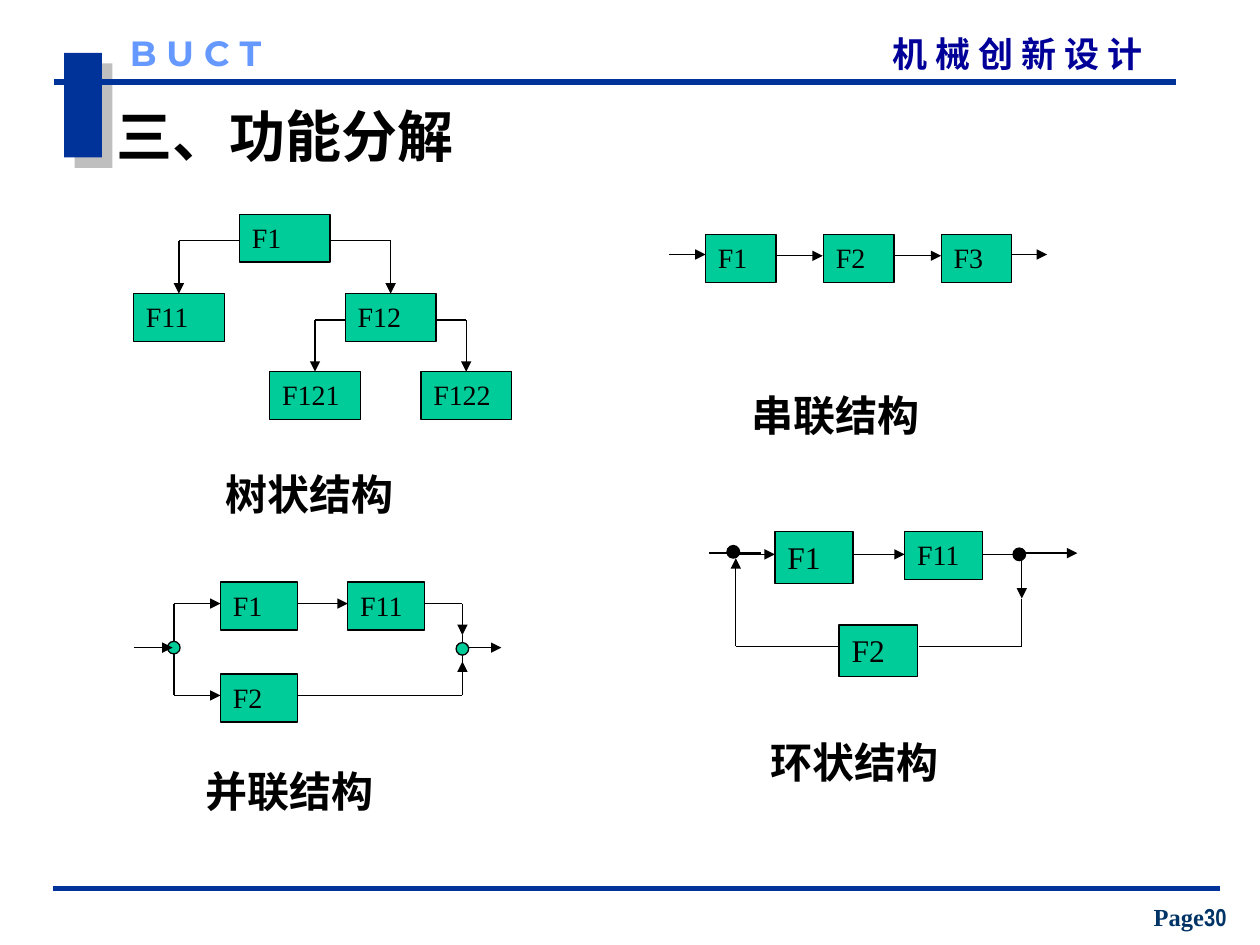
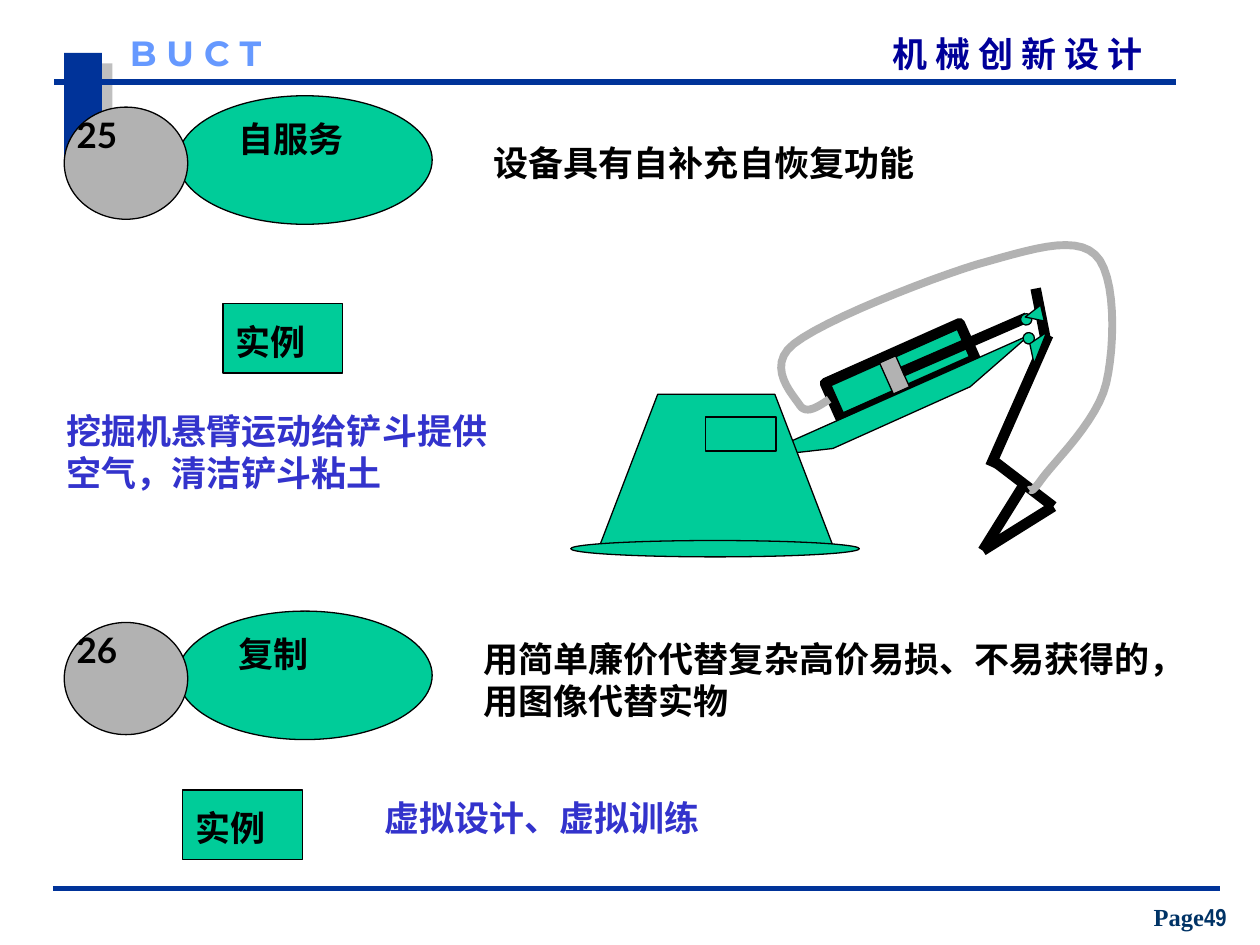
from lxml import etree
from pptx import Presentation
from pptx.dml.color import RGBColor
from pptx.enum.shapes import MSO_CONNECTOR, MSO_SHAPE
from pptx.enum.text import MSO_ANCHOR, PP_ALIGN
from pptx.oxml.ns import qn
from pptx.util import Cm, Pt

RECT, OVAL, WEDGE = MSO_SHAPE.RECTANGLE, MSO_SHAPE.OVAL, MSO_SHAPE.ISOSCELES_TRIANGLE
STRAIGHT = MSO_CONNECTOR.STRAIGHT
TOP, BOTTOM = MSO_ANCHOR.TOP, MSO_ANCHOR.BOTTOM
LEFT, CENTER, JUSTIFY = PP_ALIGN.LEFT, PP_ALIGN.CENTER, PP_ALIGN.JUSTIFY

NAVY, GREEN, GRAY, BLACK, BLUE = "003399", "00CC99", "B2B2B2", "000000", "3333CC"
TIMES, HAN, LATO = "Times New Roman", "Noto Sans CJK SC", "Lato"
THIN, THICK = 0.75, 6
PAD = (0.1, 0.05)

# ---- Content: places in inches, on the 10 x 7.5 slide ----

# Boxes of the four structures: label, left, top, width, height, text size
BOXES = [
    *[(name, x, y, 0.72, 0.38, 16) for name, x, y in [
        ("F1", 1.9, 1.7), ("F11", 1.06, 2.33), ("F12", 2.74, 2.33),
        ("F121", 2.14, 2.95), ("F122", 3.34, 2.95)]],
    *[(f"F{i + 1}", 5.6 + 0.935 * i, 1.86, 0.56, 0.38, 16) for i in range(3)],
    *[(name, x, y, 0.61, 0.38, 16) for name, x, y in [
        ("F1", 1.75, 4.62), ("F11", 2.76, 4.62), ("F2", 1.75, 5.35)]],
    ("F1", 6.15, 4.22, 0.62, 0.41, 18),
    ("F11", 7.18, 4.22, 0.62, 0.38, 16),
    ("F2", 6.66, 4.96, 0.62, 0.41, 18),
]

# Routes that end in an arrowhead
ARROWS = [
    # tree
    [(1.9, 1.91), (1.42, 1.91), (1.42, 2.33)],
    [(2.62, 1.91), (3.1, 1.91), (3.1, 2.33)],
    [(2.74, 2.54), (2.5, 2.54), (2.5, 2.95)],
    [(3.46, 2.54), (3.7, 2.54), (3.7, 2.95)],
    # series
    [(5.31, 2.02), (5.6, 2.02)], [(6.16, 2.03), (6.53, 2.03)],
    [(7.1, 2.03), (7.47, 2.03)], [(8.03, 2.02), (8.31, 2.02)],
    # parallel
    [(1.38, 5.14), (1.38, 4.79), (1.75, 4.79)],
    [(1.38, 5.14), (1.38, 5.52), (1.75, 5.52)],
    [(2.36, 4.79), (2.76, 4.79)], [(3.67, 5.14), (3.98, 5.14)],
    [(3.37, 4.79), (3.67, 4.79), (3.67, 5.04)],
    [(2.36, 5.52), (3.67, 5.52), (3.67, 5.25)],
    # ring
    [(5.84, 4.4), (6.15, 4.4)], [(6.77, 4.4), (7.18, 4.4)],
    [(6.66, 5.13), (5.84, 5.13), (5.84, 4.43)],
    [(8.13, 4.39), (8.55, 4.39)], [(8.11, 4.4), (8.11, 4.75)],
]
PLAIN = [
    [(3.67, 5.04), (3.67, 5.25)],
    [(5.63, 4.39), (6.04, 4.39)],
    [(7.8, 4.4), (8.11, 4.4)],
    [(8.11, 4.75), (8.11, 5.13), (7.29, 5.13)],
]
NODES = [(1.33, 5.09, GREEN), (3.62, 5.1, GREEN), (5.77, 4.33, BLACK), (8.04, 4.35, BLACK)]
INLET = [(1.06, 5.14), (1.37, 5.14)]
CAPTIONS = [("树状结构", 1.69, 3.67), ("串联结构", 5.87, 3.04),
            ("并联结构", 1.53, 6.03), ("环状结构", 6.02, 5.8)]

# Principles: number, name, top of the oval
RULES = [("25", "自服务", 0.76), ("26", "复制", 4.85)]
TAGS = [(1.77, 2.41), (1.45, 6.27)]
NOTES = [
    ("设备具有自补充自恢复功能", 3.82, 1.07, 4.96, 0.5, BLACK),
    ("挖掘机悬臂运动给铲斗提供空气，清洁铲斗粘土", 0.43, 3.2, 3.62, 1.3, BLUE),
    ("用简单廉价代替复杂高价易损、不易获得的，用图像代替实物", 3.74, 5.01, 5.67, 0.9, BLACK),
    ("虚拟设计、虚拟训练", 2.95, 6.27, 4.1, 0.5, BLUE),
]

# Excavator
ARM = [(5.99, 3.63), (6.61, 3.56), (7.7, 3.07), (8.17, 2.66)]
BODY = [(4.76, 4.33), (5.22, 3.13), (6.15, 3.13), (6.61, 4.33)]
ROD = [(7.16, 2.95), (8.15, 2.52)]
STICK = [[(8.22, 2.29), (8.3, 2.7)], [(8.32, 2.66), (7.86, 3.7)]]
BUCKET = [[(7.89, 3.66), (8.36, 4.02), (7.8, 4.37)], [(8.13, 3.84), (7.8, 4.37)]]
JOINTS = [  # shape, place, turn
    (OVAL, (8.1, 2.49, 0.09, 0.09), 336), (OVAL, (8.12, 2.64, 0.09, 0.09), 336),
    (WEDGE, (8.08, 2.7, 0.27, 0.09), 291.8), (WEDGE, (8.14, 2.43, 0.13, 0.14), 257),
]
HOSE = [  # start, then three Bezier points for each stretch
    (6.58, 3.17),
    (6.49, 3.23), (6.4, 3.29), (6.35, 3.22), (6.3, 3.14), (6.07, 2.91), (6.3, 2.73),
    (6.54, 2.54), (7.36, 2.22), (7.75, 2.1), (8.15, 1.99), (8.52, 1.86), (8.69, 2.02),
    (8.86, 2.17), (8.85, 2.74), (8.78, 3.04), (8.71, 3.34), (8.37, 3.66), (8.27, 3.8),
    (8.17, 3.94), (8.19, 3.87), (8.17, 3.89),
]


# ---- Drawing helpers ----

def inch(*vals):
    return [Cm(2.54 * v) for v in vals]


def rgb(code):
    return RGBColor.from_string(code)


def paint(shape, fill, line=BLACK, width=THIN):
    shape.shadow.inherit = False
    if fill:
        shape.fill.solid()
        shape.fill.fore_color.rgb = rgb(fill)
    else:
        shape.fill.background()
    if line:
        shape.line.color.rgb = rgb(line)
        shape.line.width = Pt(width)
    else:
        shape.line.fill.background()
    return shape


def form(slide, kind, place, fill=GREEN, line=BLACK, width=THIN, turn=0):
    shape = paint(slide.shapes.add_shape(kind, *inch(*place)), fill, line, width)
    shape.rotation = turn
    return shape


def write(shape, runs, size, face, color=BLACK, bold=True, align=LEFT, anchor=TOP, pad=PAD):
    """Each run is a text or a (text, font) pair that departs from the paragraph."""
    frame = shape.text_frame
    frame.word_wrap = True
    frame.vertical_anchor = anchor
    frame.margin_left, frame.margin_top = inch(*pad)
    frame.margin_right, frame.margin_bottom = inch(*PAD)
    para = frame.paragraphs[0]
    para.alignment = align
    font = para.font
    font.size, font.bold, font.name = Pt(size), bold, face
    font.color.rgb = rgb(color)
    base = para._p.pPr.find(qn("a:defRPr"))
    etree.SubElement(base, qn("a:ea"), typeface=HAN)
    for item in runs:
        run = para.add_run()
        if isinstance(item, tuple):
            run.text, run.font.name = item
        else:
            run.text = item


def label(slide, place, runs, size, face, **style):
    write(slide.shapes.add_textbox(*inch(*place)), runs, size, face, **style)


def route(slide, points, color=BLACK, width=THIN, arrow=False):
    for start, end in zip(points, points[1:]):
        line = slide.shapes.add_connector(STRAIGHT, *inch(*start, *end))
        line.line.color.rgb = rgb(color)
        line.line.width = Pt(width)
        etree.SubElement(line._element.spPr, qn("a:effectLst"))
    if arrow:
        etree.SubElement(line.line._get_or_add_ln(), qn("a:tailEnd"), type="triangle")


def trace(slide, points, fill=GREEN, line=BLACK, width=THIN, close=True):
    pen = slide.shapes.build_freeform(*inch(*points[0]))
    pen.add_line_segments([inch(*p) for p in points[1:]], close=close)
    return paint(pen.convert_to_shape(), fill, line, width)


def curve(knots, steps=12):
    """Points along a chain of cubic Bezier stretches."""
    points = [knots[0]]
    for i in range(0, len(knots) - 1, 3):
        for k in range(1, steps + 1):
            t = k / steps
            mix = ((1 - t) ** 3, 3 * t * (1 - t) ** 2, 3 * t * t * (1 - t), t ** 3)
            points.append(tuple(sum(m * p[axis] for m, p in zip(mix, knots[i:i + 4]))
                                for axis in (0, 1)))
    return points


# ---- Shared frame ----

def page(deck, number):
    slide = deck.slides.add_slide(deck.slide_layouts[6])
    block = form(slide, RECT, (0.51, 0.42, 0.3, 0.83), NAVY, None)
    glow = etree.SubElement(block._element.spPr.find(qn("a:effectLst")), qn("a:outerShdw"),
                            dist=str(Pt(8.5)), dir="2700000", algn="ctr", rotWithShape="0")
    tint = etree.SubElement(glow, qn("a:srgbClr"), val="808080")
    etree.SubElement(tint, qn("a:alpha"), val="50000")
    route(slide, [(0.43, 0.65), (9.33, 0.65)], NAVY, 3)
    route(slide, [(0.42, 7.05), (9.68, 7.05)], NAVY, 3)
    label(slide, (5.44, 0.26, 4.1, 0.33), ["机 械 创 新 设 计"], 20, HAN,
          color="000099", pad=(1.64, 0))
    label(slide, (1.03, 0.25, 1.42, 0.33), ["B U C T"], 20, "Montserrat",
          color="6699FF", pad=(0, 0))
    label(slide, (8.97, 7.11, 0.95, 0.33), ["Page", (number, "Arial Narrow")], 14, TIMES,
          color="003366", align=CENTER, anchor=BOTTOM)
    return slide


# ---- Slides ----

def structures(deck):
    slide = page(deck, "30")
    label(slide, (0.83, 0.76, 3.55, 0.63), ["三、", ("功能分解", HAN)], 32, TIMES)
    for name, x, y, w, h, size in BOXES:
        write(form(slide, RECT, (x, y, w, h)), [name], size, TIMES, bold=False, align=JUSTIFY)
    for points in PLAIN:
        route(slide, points)
    for points in ARROWS:
        route(slide, points, arrow=True)
    for x, y, fill in NODES:
        form(slide, OVAL, (x, y, 0.1, 0.1), fill)
    route(slide, INLET, arrow=True)
    for name, x, y in CAPTIONS:
        label(slide, (x, y, 2.1, 0.5), [name], 24, TIMES)


def digger(slide):
    form(slide, RECT, (6.56, 2.79, 1.17, 0.31), width=THICK, turn=336)
    form(slide, RECT, (7.03, 2.84, 0.14, 0.27), GRAY, turn=336)
    route(slide, ROD, width=THICK)
    trace(slide, ARM)
    for points in STICK:
        route(slide, points, width=THICK)
    for kind, place, turn in JOINTS:
        form(slide, kind, place, turn=turn)
    for points in BUCKET:
        route(slide, points, width=THICK)
    trace(slide, curve(HOSE), None, GRAY, 4.5, close=False)
    trace(slide, BODY)
    form(slide, OVAL, (4.53, 4.29, 2.29, 0.13))
    form(slide, RECT, (5.6, 3.31, 0.56, 0.27))


def principles(deck):
    slide = page(deck, "49")
    for number, name, y in RULES:
        form(slide, OVAL, (1.41, y, 2.02, 1.02))
        label(slide, (1.66, y + 0.12, 1.64, 0.5), [name], 20, LATO, pad=(0.23, 0.05))
        form(slide, OVAL, (0.51, y + 0.09, 0.98, 0.89), GRAY)
        label(slide, (0.51, y + 0.09, 0.65, 0.5), [number], 20, LATO)
    digger(slide)
    for x, y in TAGS:
        write(form(slide, RECT, (x, y, 0.95, 0.55)), ["实例"], 20, LATO, pad=(0.1, 0.13))
    for text, x, y, w, h, color in NOTES:
        label(slide, (x, y, w, h), [text], 20, LATO, color=color)


def main():
    deck = Presentation()
    deck.slide_width, deck.slide_height = inch(10, 7.5)
    structures(deck)
    principles(deck)
    deck.save("out.pptx")


if __name__ == "__main__":
    main()
